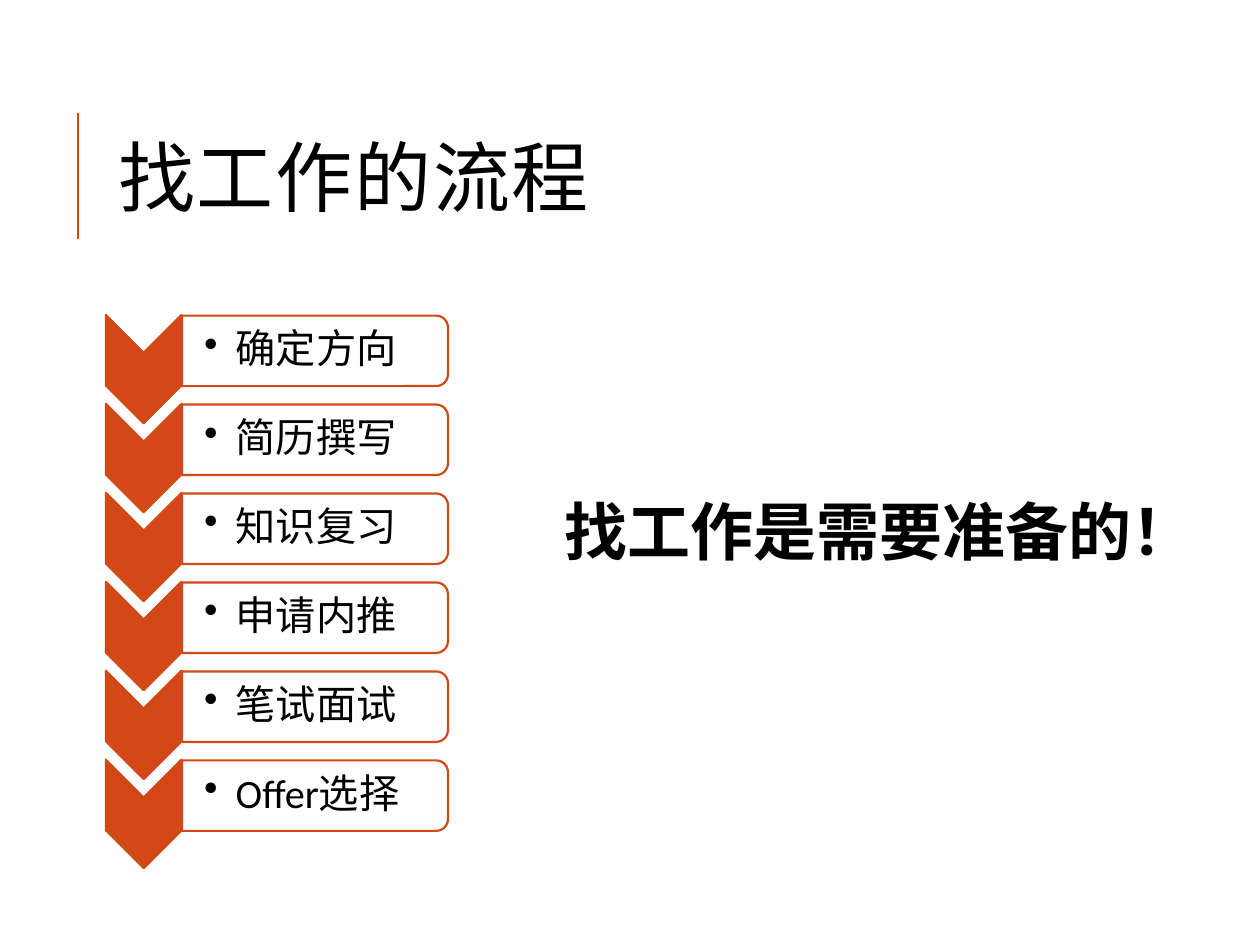
from pptx import Presentation
from pptx.dml.color import RGBColor
from pptx.enum.shapes import MSO_CONNECTOR as LINE, MSO_SHAPE as SHAPE
from pptx.enum.text import MSO_ANCHOR as ANCHOR
from pptx.oxml.ns import qn
from pptx.util import Inches, Pt
from lxml.etree import SubElement


def color(value):
    return RGBColor.from_string(value)


def add_text(text, left, top, width, height, font_format, frame_format):
    frame = slide.shapes.add_textbox(left, top, width, height).text_frame
    for key, value in frame_format.items():
        setattr(frame, key, value)
    paragraph = frame.paragraphs[0]
    run = paragraph.add_run()
    run.text = text
    for key, value in {"name": "Calibri", **font_format}.items():
        setattr(run.font, key, value)
    run.font.color.rgb = color("000000")
    return paragraph


ACCENT = "D34817"

prs = Presentation()
prs.slide_width, prs.slide_height = Inches(10), Inches(7.5)
slide = prs.slides.add_slide(prs.slide_layouts[6])
slide.background.fill.solid()
slide.background.fill.fore_color.rgb = color("FFFFFF")

title_rule = slide.shapes.add_connector(
    LINE.STRAIGHT, Inches(0.62), Inches(1.9), Inches(0.62), Inches(0.9))
title_rule.line.color.rgb = color(ACCENT)
title_rule.line.width = Pt(1.5)
SubElement(title_rule._element.spPr, qn("a:effectLst"))

title = add_text("找工作的流程", Inches(0.84), Inches(0.64), Inches(7.97), Inches(1.64),
                 {"size": Pt(44)}, {"word_wrap": True, "vertical_anchor": ANCHOR.MIDDLE})
title.line_spacing = 0.8
title.runs[0].font._element.set("spc", "100")

steps = ["确定方向", "简历撰写", "知识复习", "申请内推", "笔试面试", "Offer选择"]
step_pitch = Inches(3.53) / (len(steps) - 1)
step_format = {
    "word_wrap": True, "vertical_anchor": ANCHOR.MIDDLE, "margin_left": Inches(0.18),
    "margin_top": Inches(0.02), "margin_right": Inches(0.02), "margin_bottom": Inches(0.02),
}
step_parts = [
    (SHAPE.CHEVRON, 0.71, 2.63, 0.86, 0.6),
    (SHAPE.ROUND_2_SAME_RECTANGLE, 2.22, 1.73, 0.56, 2.11),
]

for index, step in enumerate(steps):
    offset = round(index * step_pitch)
    for kind, left, top, width, height in step_parts:
        part = slide.shapes.add_shape(
            kind, Inches(left), Inches(top) + offset, Inches(width), Inches(height))
        part.rotation = 90
        part.shadow.inherit = False
        part.line.color.rgb = color(ACCENT)
        part.line.width = Pt(1.25)
        if kind == SHAPE.CHEVRON:
            part.fill.solid()
            part.fill.fore_color.rgb = color(ACCENT)
        else:
            part.fill.background()
    label = add_text(step, Inches(1.44), Inches(2.53) + offset, Inches(2.08), Inches(0.51),
                     {"size": Pt(23)}, step_format)
    label.line_spacing = 0.9
    indent = label._p.get_or_add_pPr()
    indent.set("marL", str(Inches(0.25)))
    indent.set("indent", str(-Inches(0.25)))
    SubElement(indent, qn("a:buChar")).set("char", "•")

add_text("找工作是需要准备的！", Inches(4.38), Inches(3.86), Inches(5.25), Inches(0.71),
         {"size": Pt(36), "bold": True}, {"word_wrap": False})

prs.save("out.pptx")
